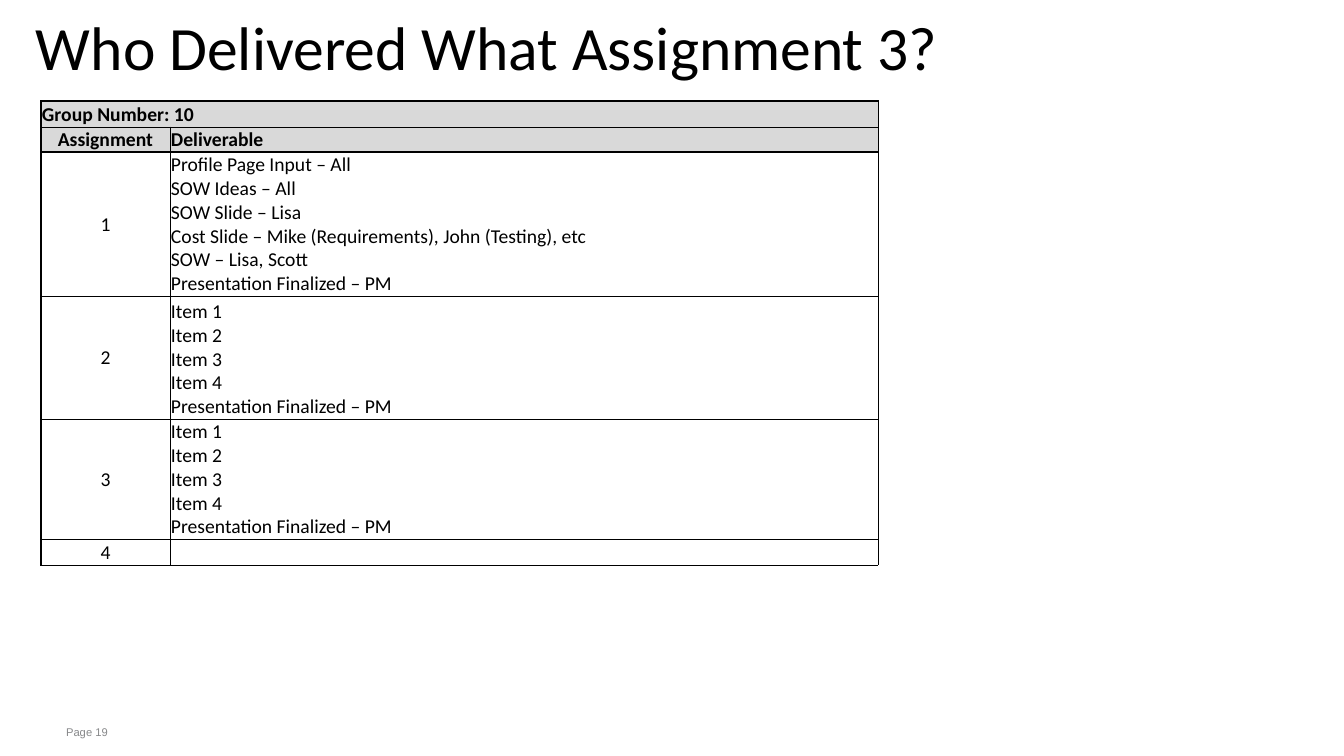
import pptx
import pptx.dml.color
import pptx.enum.text
import pptx.oxml.ns
import pptx.util
from lxml import etree

PX = 914400 / 100.8
BLACK = pptx.dml.color.RGBColor(0x00, 0x00, 0x00)
GRAY = pptx.dml.color.RGBColor(0x87, 0x88, 0x8A)
HEADER_FILL = pptx.dml.color.RGBColor(0xD9, 0xD9, 0xD9)
ALIGN = pptx.enum.text.PP_ALIGN
ANCHOR = pptx.enum.text.MSO_ANCHOR

COLUMN_WIDTHS = [129, 708]
ROW_HEIGHTS = [26, 25, 144, 123, 120, 26]
HEADER_ROWS = 2
ITEMS = ["Item 1", "Item 2", "Item 3", "Item 4", "Presentation Finalized – PM"]
ROWS = [
    (["Group Number: 10"], None),
    (["Assignment"], ["Deliverable"]),
    (["1"], [
        "Profile Page Input – All",
        "SOW Ideas – All",
        "SOW Slide – Lisa",
        "Cost Slide – Mike (Requirements), John (Testing), etc",
        "SOW – Lisa, Scott",
        "Presentation Finalized – PM",
    ]),
    (["2"], ITEMS),
    (["3"], ITEMS),
    (["4"], [""]),
]


def px(length):
    return pptx.util.Emu(round(length * PX))


def write_text(frame, lines, *, size, font="Calibri", color=BLACK, bold=False,
               align=ALIGN.LEFT, line_spacing=None):
    for index, line in enumerate(lines):
        paragraph = frame.add_paragraph() if index else frame.paragraphs[0]
        paragraph.alignment = align
        if line_spacing:
            paragraph.line_spacing = line_spacing
        if not line:
            # An empty cell still needs its text size to keep the row low
            etree.SubElement(paragraph._p, pptx.oxml.ns.qn("a:endParaRPr"),
                             sz=str(size * 100))
            continue
        run = paragraph.add_run()
        run.text = line
        run.font.name = font
        run.font.size = pptx.util.Pt(size)
        run.font.bold = bold
        run.font.color.rgb = color


def add_text_box(slide, left, top, width, height, lines, *, margin_y, anchor,
                 **text_format):
    frame = slide.shapes.add_textbox(px(left), px(top), px(width), px(height)).text_frame
    frame.word_wrap = True
    frame.margin_left = frame.margin_right = px(8)
    frame.margin_top = frame.margin_bottom = px(margin_y)
    frame.vertical_anchor = anchor
    write_text(frame, lines, **text_format)


def set_borders(cell, widths):
    properties = cell._tc.get_or_add_tcPr()
    for position, (side, width) in enumerate(widths.items()):
        line = etree.Element(pptx.oxml.ns.qn(f"a:ln{side}"),
                             w=str(pptx.util.Pt(width)))
        fill = etree.SubElement(line, pptx.oxml.ns.qn("a:solidFill"))
        etree.SubElement(fill, pptx.oxml.ns.qn("a:srgbClr"), val=str(BLACK))
        properties.insert(position, line)


def format_cell(cell, row, column):
    is_header = row < HEADER_ROWS
    cell.margin_left = cell.margin_right = cell.margin_top = px(1)
    cell.margin_bottom = 0
    cell.vertical_anchor = ANCHOR.BOTTOM if is_header or column else ANCHOR.MIDDLE
    if is_header:
        cell.fill.solid()
        cell.fill.fore_color.rgb = HEADER_FILL
    else:
        cell.fill.background()
    set_borders(cell, {
        "L": 0.5 if column else 1,
        "R": 0.5,
        "T": 1 if row in (0, HEADER_ROWS) else 0.5,
        "B": 1 if row == HEADER_ROWS - 1 else 0.5,
    })


def add_deliverables_table(slide, left, top):
    table = slide.shapes.add_table(
        len(ROWS), len(COLUMN_WIDTHS), px(left), px(top),
        px(sum(COLUMN_WIDTHS)), px(sum(ROW_HEIGHTS))).table
    table.first_row = table.horz_banding = False
    for column, width in zip(table.columns, COLUMN_WIDTHS):
        column.width = px(width)
    for row, height in zip(table.rows, ROW_HEIGHTS):
        row.height = px(height)
    table.cell(0, 0).merge(table.cell(0, 1))
    for row, contents in enumerate(ROWS):
        for column, lines in enumerate(contents):
            cell = table.cell(row, column)
            format_cell(cell, row, column)
            if lines:
                centered = row > 0 and column == 0
                write_text(cell.text_frame, lines, size=14, bold=row < HEADER_ROWS,
                           align=ALIGN.CENTER if centered else ALIGN.LEFT)


def main():
    presentation = pptx.Presentation()
    presentation.slide_width = px(1344)
    presentation.slide_height = px(756)
    slide = presentation.slides.add_slide(presentation.slide_layouts[6])

    # Page number
    add_text_box(slide, 58, 720, 1087, 24, ["Page 19"], margin_y=5,
                 anchor=ANCHOR.TOP, size=8, font="Arial", color=GRAY)
    # Deliverables by assignment
    add_deliverables_table(slide, 41, 101)
    # Title
    add_text_box(slide, 28, 26, 965, 55, ["Who Delivered What Assignment 3?"],
                 margin_y=0, anchor=ANCHOR.MIDDLE, size=44, line_spacing=0.75)

    presentation.save("out.pptx")


if __name__ == "__main__":
    main()
